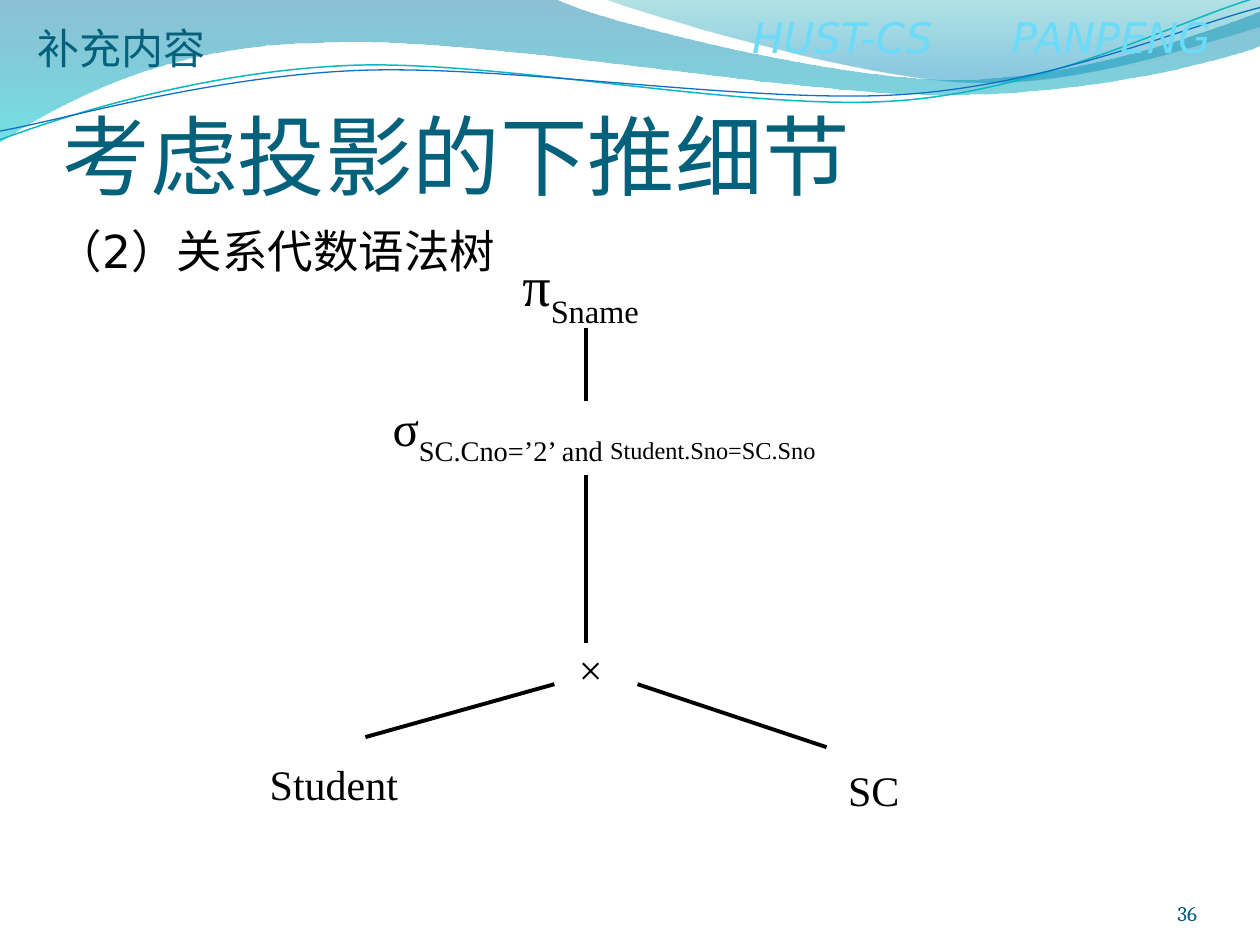
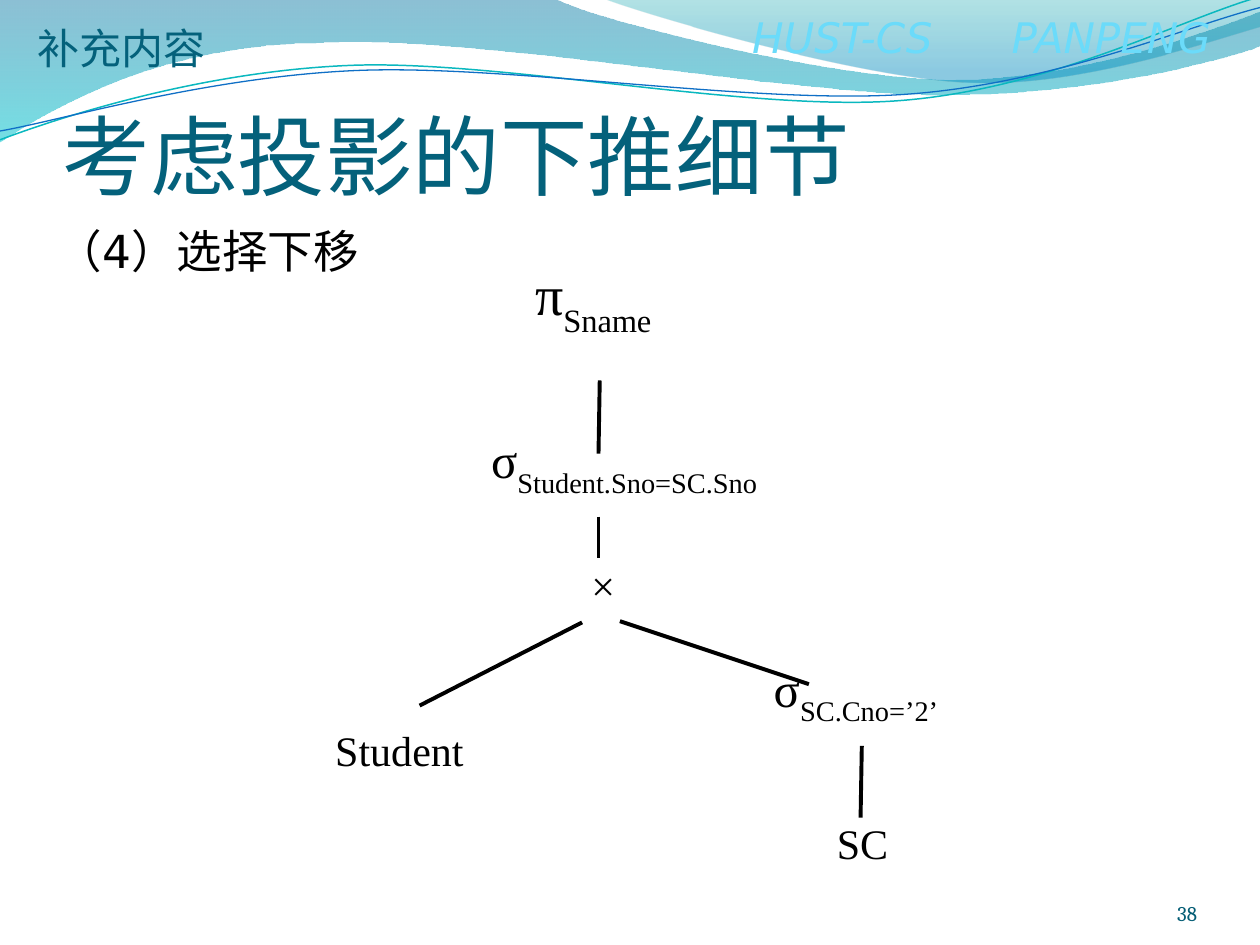
from lxml.etree import SubElement
from pptx import Presentation
from pptx.dml.color import RGBColor
from pptx.enum.shapes import MSO_CONNECTOR as Connector
from pptx.enum.text import MSO_ANCHOR as Anchor, PP_ALIGN as Align
from pptx.oxml.ns import qn
from pptx.util import Inches, Pt

COLOURS = {
    "ink": "000000", "title": "04617B", "number": "045D75", "course": "6BDBFA",
    "band_blue": "0074A1", "band_cyan": "00C6CF",
    "veil_teal": "00A1A9", "veil_blue": "008BBF",
    "line_teal": "0AB8BF", "line_blue": "0F6FC6",
}
SERIF, SANS, CJK = "Times New Roman", "DejaVu Sans", "Noto Sans CJK SC"

deck = Presentation()
deck.slide_width, deck.slide_height = Inches(10), Inches(7.5)
GRID = deck.slide_width // 10  # square cells: 10 columns by 7.5 rows


def add_text(page, place, spans, font=SERIF, colour="ink", align=Align.LEFT,
             anchor=Anchor.TOP, insets=(0.1, 0.05, 0.1, 0.05), wrap=True,
             italic=False, tab=None):
    """Add one paragraph of (text, size, is_subscript) spans at a grid place."""
    box = page.shapes.add_textbox(*(round(cells * GRID) for cells in place))
    frame = box.text_frame
    frame.word_wrap, frame.vertical_anchor = wrap, anchor
    (frame.margin_left, frame.margin_top,
     frame.margin_right, frame.margin_bottom) = (round(c * GRID) for c in insets)
    para = frame.paragraphs[0]
    para.alignment = align
    if tab:
        stops = SubElement(para._p.get_or_add_pPr(), qn("a:tabLst"))
        SubElement(stops, qn("a:tab"), pos=str(round(tab * GRID)), algn="l")
    for text, size, is_subscript in spans:
        span = para.add_run()
        span.text = text
        span.font.name, span.font.size, span.font.italic = font, Pt(size), italic
        span.font.color.rgb = RGBColor.from_string(COLOURS[colour])
        properties = span._r.get_or_add_rPr()
        SubElement(properties, qn("a:ea"), typeface=CJK)
        if is_subscript:
            properties.set("baseline", "-30000")


def add_wave(page, start, segments, closed):
    """Trace segments of one point (straight) or three points (cubic curve)."""
    points = [(round(x * GRID), round(y * GRID))
              for x, y in [start, *(point for segment in segments for point in segment)]]
    builder = page.shapes.build_freeform(*points[0], scale=1.0)
    builder.add_line_segments(points[1:], close=closed)
    wave = builder.convert_to_shape()
    wave.shadow.inherit = False
    # Merge each run of three straight pieces into one cubic curve
    pieces = iter(list(wave._element.iter(qn("a:lnTo"))))
    for segment in segments:
        first, *others = [next(pieces) for _ in segment]
        if others:
            first.tag = qn("a:cubicBezTo")
        for piece in others:
            first.append(piece[0])
            piece.getparent().remove(piece)
    return wave


# Bands: start, segments, gradient stops of (position, colour, opacity %)
BANDS = [
    ((0, -0.01), [
        [(4.4, -0.01)],
        [(4.76, 0.17), (6.64, 0.63), (7.58, 0.63)],
        [(8.53, 0.63), (9.58, 0.26), (10, 0.09)],
        [(10.01, 0.36)],
        [(9.83, 0.44), (8.7, 0.76), (7.46, 0.75)],
        [(6.22, 0.75), (3.82, 0.28), (2.57, 0.34)],
        [(1.29, 0.35), (0.46, 0.83), (-0.01, 1.13)],
    ], [(0, "band_blue", 45), (1, "band_cyan", 55)]),
    ((4.79, -0.01), [
        [(5.09, 0.11), (6.82, 0.62), (7.69, 0.65)],
        [(8.56, 0.69), (9.61, 0.32), (10, 0.21)],
        [(10, 0)],
    ], [(0, "veil_teal", 30), (0.8, "veil_blue", 45)]),
]
# Wave lines: start, segments, colour, width
WAVE_LINES = [
    ((0, 1.11), [
        [(0.48, 0.93), (1.58, 0.57), (2.77, 0.52)],
        [(3.95, 0.47), (5.93, 0.89), (7.13, 0.8)],
        [(8.33, 0.71), (9.38, 0.15), (9.98, -0.02)],
    ], "line_teal", 0.85),
    ((0, 1.04), [
        [(0.47, 0.96), (1.64, 0.61), (2.83, 0.56)],
        [(4.03, 0.51), (5.97, 0.83), (7.17, 0.75)],
        [(8.36, 0.67), (9.41, 0.21), (10, 0.06)],
    ], "line_blue", 0.75),
]

# Operators and relations of the syntax trees
PROJECTION = [("π", 32, False), ("Sname", 32, True), (" ", 24, False)]
SELECT_ALL = [("σ", 28, False), ("SC.Cno=’2’ and ", 28, True),
              ("Student.Sno=SC.Sno ", 24, True)]
SELECT_JOIN = [("σ", 28, False), ("Student.Sno=SC.Sno", 28, True), (" ", 24, False)]
SELECT_COURSE = [("σ", 28, False), ("SC.Cno=’2’", 28, True), (" ", 24, False)]
PRODUCT = [("× ", 24, False)]
STUDENT = [("Student", 24, False)]
SC = [("SC", 24, False)]

# Each tree: heading, page number, nodes (place, spans), branches (x1, y1, x2, y2)
TREES = [
    ("（2）关系代数语法树", "36", [
        ((3.9, 1.93, 1.5, 0.75), PROJECTION),
        ((2.92, 3.18, 3.8, 0.5), SELECT_ALL),
        ((4.23, 5.02, 1, 0.58), PRODUCT),
        ((2, 5.93, 1.3, 0.58), STUDENT),
        ((6.31, 5.93, 1.25, 0.67), SC),
    ], [
        (4.65, 2.6, 4.65, 3.18),
        (4.65, 3.77, 4.65, 5.1),
        (4.65, 4.77, 4.65, 5.1),
        (4.4, 5.43, 2.9, 5.85),
        (5.06, 5.43, 6.56, 5.93),
    ]),
    ("（4）选择下移", "38", [
        ((4, 2, 1.5, 0.75), PROJECTION),
        ((5.67, 5.25, 2.33, 0.5), SELECT_COURSE),
        ((3.58, 3.35, 2.83, 0.67), SELECT_JOIN),
        ((4.33, 4.35, 1, 0.58), PRODUCT),
        ((2.52, 5.66, 1.3, 0.58), STUDENT),
        ((6.22, 6.35, 1.25, 0.67), SC),
    ], [
        (4.75, 4.1, 4.75, 4.43),
        (4.62, 4.94, 3.33, 5.6),
        (4.92, 4.93, 6.42, 5.43),
        (4.76, 3.02, 4.75, 3.6),
        (6.84, 5.92, 6.83, 6.49),
    ]),
]

for heading, number, nodes, branches in TREES:
    page = deck.slides.add_slide(deck.slide_layouts[6])

    for start, segments, stops in BANDS:
        band = add_wave(page, start, segments, closed=True)
        band.line.fill.background()
        band.fill.gradient()
        band.fill.gradient_angle = 270
        for stop, (position, colour, opacity) in zip(band.fill.gradient_stops, stops):
            stop.position = position
            stop.color.rgb = RGBColor.from_string(COLOURS[colour])
            SubElement(stop._gs.find(qn("a:srgbClr")), qn("a:alpha"), val=str(opacity * 1000))
    for start, segments, colour, width in WAVE_LINES:
        wave = add_wave(page, start, segments, closed=False)
        wave.fill.background()
        wave.line.color.rgb = RGBColor.from_string(COLOURS[colour])
        wave.line.width = Pt(width)

    add_text(page, (5.87, 0.04, 4.05, 0.5), [("HUST-CS\tPANPENG", 24, False)],
             font=SANS, colour="course", italic=True, tab=2.06)
    add_text(page, (0.5, 0.77, 9, 0.87), [("考虑投影的下推细节", 50, False)],
             font="Calibri", colour="title", anchor=Anchor.BOTTOM, insets=(0, 0.05, 0, 0))
    add_text(page, (8.67, 6.95, 0.83, 0.4), [(number, 12, False)], font="Cambria",
             colour="number", align=Align.RIGHT, anchor=Anchor.BOTTOM, insets=(0, 0, 0, 0))
    add_text(page, (0.35, 1.72, 9, 0.53), [(heading, 26, False)], font=SANS)

    for place, spans in nodes:
        add_text(page, place, spans, align=Align.CENTER, anchor=Anchor.MIDDLE, wrap=False)
    for ends in branches:
        branch = page.shapes.add_connector(
            Connector.STRAIGHT, *(round(cells * GRID) for cells in ends))
        branch.line.color.rgb = RGBColor.from_string(COLOURS["ink"])
        branch.line.width = Pt(2.25)
        SubElement(branch._element.spPr, qn("a:effectLst"))

    add_text(page, (0.2, 0.13, 1.55, 0.5), [("补充内容", 24, False)],
             font=CJK, colour="title", wrap=False)

deck.save("out.pptx")
